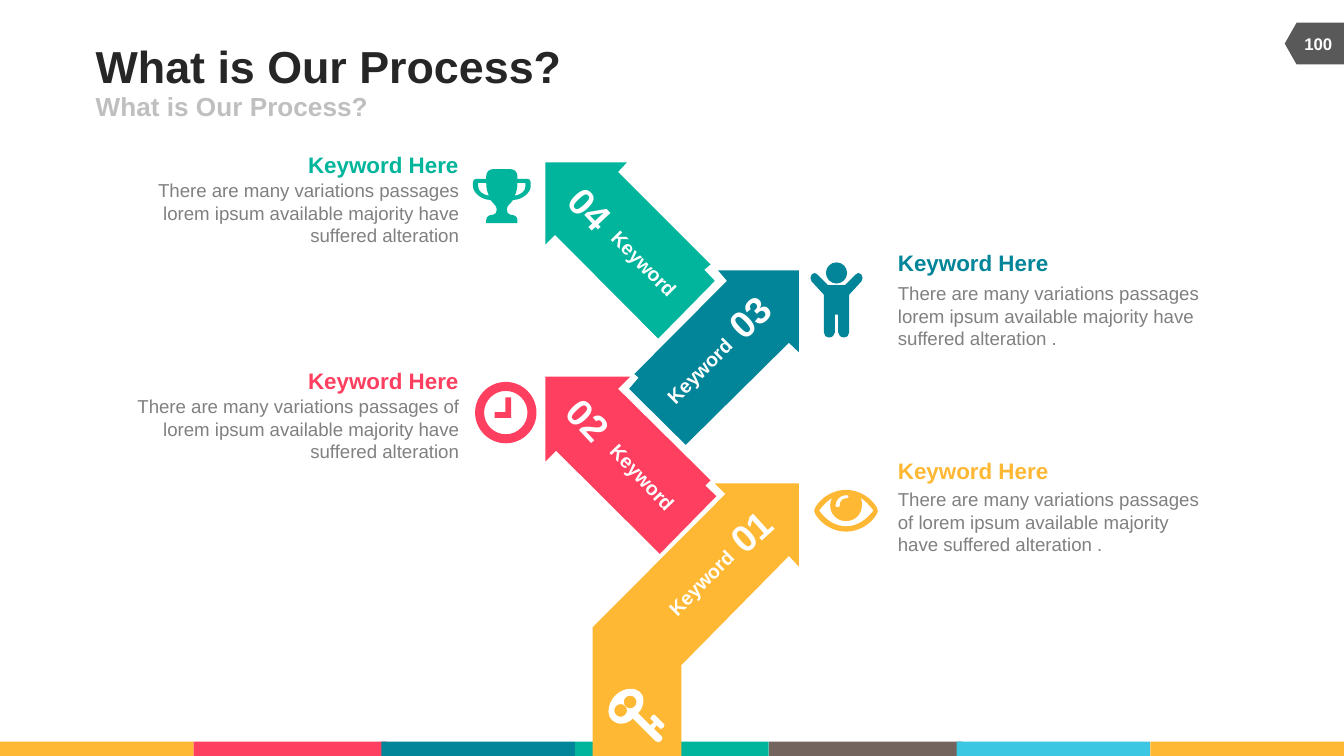
from pptx import Presentation
from pptx.dml.color import RGBColor
from pptx.enum.shapes import MSO_SHAPE
from pptx.enum.text import MSO_ANCHOR, PP_ALIGN
from pptx.oxml.ns import qn
from pptx.util import Cm, Pt

LEFT, MID, RIGHT = PP_ALIGN.LEFT, PP_ALIGN.CENTER, PP_ALIGN.RIGHT
TOP, HALF, BASE = MSO_ANCHOR.TOP, MSO_ANCHOR.MIDDLE, MSO_ANCHOR.BOTTOM
RECT, TAG = MSO_SHAPE.RECTANGLE, MSO_SHAPE.FLOWCHART_OFFPAGE_CONNECTOR

WIDE, HIGH = 25.4, 14.29
COLORS = {
    "gold": "FEB834", "red": "FF3F5F", "blue": "028599", "teal": "01B59C",
    "brown": "73655D", "sky": "3BC7E2", "white": "FFFFFF", "ink": "262626",
    "pale": "BFBFBF", "gray": "808080", "dark": "595959",
}
STRIPES = [(0, "gold"), (3.66, "red"), (7.21, "blue"), (10.87, "teal"),
           (14.53, "brown"), (18.08, "sky"), (21.74, "gold")]


def ring(x, y, r):
    """Outline of a circle in four curves."""
    k = .55 * r
    return [(x + r, y), (x + r, y + k, x + k, y + r, x, y + r),
            (x - k, y + r, x - r, y + k, x - r, y),
            (x - r, y - k, x - k, y - r, x, y - r),
            (x + k, y - r, x + r, y - k, x + r, y)]


# Outlines in cm: a pair is a corner, six numbers are a cubic curve.
KEY = [
    [(.99, .76), (.91, .69), (.86, .76), (1, .89),
     (1.03, .92, 1.02, .94, 1, .98), (.97, 1.02, .93, 1.02, .89, .99),
     (.46, .56), (.41, .62, .32, .66, .24, .66), (.1, .66, 0, .56, 0, .43),
     (0, .2, .2, 0, .42, 0), (.56, 0, .66, .08, .66, .22),
     (.66, .32, .62, .4, .56, .46), (.79, .69), (.86, .63), (.79, .56),
     (.81, .51, .84, .48, .87, .49), (1.06, .68),
     (1.06, .71, 1.03, .76, .99, .76)],
    ring(.41, .25, .12), ring(.23, .41, .12),
]
EYE = [
    [(.03, .33), (.15, .13, .38, 0, .61, 0), (.84, 0, 1.07, .13, 1.19, .33),
     (1.22, .37, 1.22, .42, 1.19, .46), (1.07, .66, .84, .79, .61, .79),
     (.38, .79, .15, .66, .03, .46), (0, .42, 0, .37, .03, .33)],
    [(.89, .15), (.91, .2, .91, .25, .91, .29), (.91, .46, .78, .59, .61, .59),
     (.44, .59, .31, .46, .31, .29), (.31, .25, .32, .19, .35, .15),
     (.25, .21, .17, .3, .1, .39), (.23, .57, .4, .69, .61, .69),
     (.82, .69, .99, .57, 1.13, .39), (1.06, .3, .98, .21, .89, .15)],
    [(.61, .1), (.5, .1, .41, .19, .41, .3), (.41, .32, .43, .33, .45, .33),
     (.48, .33, .49, .32, .49, .3), (.49, .22, .54, .16, .61, .16),
     (.64, .16, .66, .15, .66, .13), (.66, .11, .64, .1, .61, .1)],
]
CLOCK = [
    ring(.59, .59, .58), ring(.59, .59, .41),
    [(.38, .58), (.58, .58), (.58, .3), (.69, .3), (.69, .69), (.38, .69)],
]
PERSON = [
    [(.74, .61), (.74, 1.32), (.74, 1.37, .7, 1.42, .64, 1.42),
     (.58, 1.42, .53, 1.37, .53, 1.32), (.53, .99), (.47, .99), (.47, 1.32),
     (.47, 1.37, .42, 1.42, .36, 1.42), (.3, 1.42, .26, 1.37, .26, 1.32),
     (.26, .61), (.03, .36), (0, .32, 0, .27, .03, .23),
     (.06, .19, .11, .19, .14, .23), (.34, .43), (.66, .43), (.86, .23),
     (.89, .19, .94, .19, .97, .23), (1, .27, 1, .32, .97, .36)],
    ring(.5, .2, .2),
]
CUP = [
    [(1.09, .33), (1.09, .43, .94, .58, .76, .58),
     (.72, .63, .69, .66, .69, .66), (.66, .69, .64, .71, .64, .76),
     (.64, .81, .66, .86, .71, .86), (.79, .86, .84, .9, .84, .96),
     (.84, 1.02), (.25, 1.02), (.25, .96), (.25, .9, .3, .86, .38, .86),
     (.43, .86, .45, .81, .45, .76), (.45, .71, .43, .69, .4, .66),
     (.4, .66, .37, .63, .33, .58), (.15, .58, 0, .43, 0, .33), (0, .25),
     (0, .21, .02, .18, .06, .18), (.25, .18), (.25, .13),
     (.25, .05, .31, 0, .37, 0), (.72, 0), (.78, 0, .84, .05, .84, .13),
     (.84, .18), (1.03, .18), (1.07, .18, 1.09, .21, 1.09, .25)],
    [(.25, .26), (.1, .26), (.1, .33), (.1, .41, .18, .48, .3, .5),
     (.27, .43, .25, .35, .25, .26)],
    [(.84, .26), (.99, .26), (.99, .33), (.99, .41, .91, .48, .79, .5),
     (.82, .43, .84, .35, .84, .26)],
]

# Color, corner, outline, then place and turn of the number and the word.
STEPS = [
    ("gold", (11.2, 9.14),
     [(3.9, 1.57), (3.71, 1.37), (1.68, 3.43), (1.68, 5.15), (0, 5.15),
      (0, 2.72), (2.51, .2), (2.31, 0), (3.9, 0)],
     (2.59, .46, 318.1), (1.26, 1.65, 315)),
    ("red", (10.31, 7.12),
     [(1.37, .23), (3.12, 1.96), (3.02, 2.06), (3.23, 2.26), (2.16, 3.35),
      (.2, 1.4), (0, 1.6), (0, 0), (1.6, 0)],
     (.43, .38, 47), (1.04, 1.67, 46.4)),
    ("blue", (11.89, 5.11),
     [(3.21, 1.55), (3.02, 1.37), (1.07, 3.3), (0, 2.24), (.18, 2.03),
      (.1, 1.96), (1.85, .2), (1.68, 0), (3.21, 0)],
     (1.88, .43, 316.6), (.54, 1.68, 315)),
    ("teal", (10.31, 3.07),
     [(1.37, .18), (3.12, 1.93), (3, 2.03), (3.2, 2.24), (2.13, 3.33),
      (.18, 1.37), (0, 1.55), (0, 0), (1.54, 0)],
     (.47, .43, 47), (1.07, 1.68, 45.4)),
]
ICONS = [
    (KEY, 11.5, 13.02, "white"), (EYE, 15.38, 9.26, "gold"),
    (CLOCK, 8.97, 7.21, "red"), (PERSON, 15.31, 4.96, "blue"),
    (CUP, 8.94, 3.2, "teal"),
]
LONG = "There are many variations passages of lorem ipsum available majority have suffered alteration"
SHORT = LONG.replace("passages of", "passages")
# Left, top, width, drop to the body, color, side, body.
NOTES = [
    (16.97, 8.64, 5.9, .59, "gold", LEFT, LONG + " ."),
    (16.97, 4.71, 5.97, .62, "blue", LEFT, SHORT + " ."),
    (2.35, 6.94, 6.32, .53, "red", RIGHT, LONG),
    (2.83, 2.86, 5.84, .53, "teal", RIGHT, SHORT),
]


def paint(shape, color):
    shape.shadow.inherit = False
    shape.fill.solid()
    shape.fill.fore_color.rgb = RGBColor.from_string(COLORS[color])
    shape.line.fill.background()


def write(slide, text, box, size, color, bold=True, side=LEFT, anchor=TOP,
          turn=0, wrap=True):
    area = slide.shapes.add_textbox(*map(Cm, box))
    area.rotation = turn
    frame = area.text_frame
    frame.margin_left = frame.margin_right = 0
    frame.margin_top = frame.margin_bottom = 0
    frame.word_wrap, frame.vertical_anchor = wrap, anchor
    line = frame.paragraphs[0]
    line.text, line.alignment = text, side
    font = line.font
    font.name, font.size, font.bold = "Arial", Pt(size), bold
    font.color.rgb = RGBColor.from_string(COLORS[color])


def bend(shape, loops):
    """Join each three segments that stand for a curve into one."""
    nodes = iter(list(shape.element.iter(qn("a:lnTo"))))
    for item in (item for loop in loops for item in loop[1:]):
        node = next(nodes)
        if len(item) == 6:
            node.tag = qn("a:cubicBezTo")
            for spare in (next(nodes), next(nodes)):
                node.append(spare[0])
                spare.getparent().remove(spare)


def draw(slide, loops, x, y, color):
    pen = None
    for loop in loops:
        first, *rest = [(Cm(x + item[i]), Cm(y + item[i + 1]))
                        for item in loop for i in range(0, len(item), 2)]
        if pen is None:
            pen = slide.shapes.build_freeform(*first)
        else:
            pen.move_to(*first)
        pen.add_line_segments(rest, close=True)
    shape = pen.convert_to_shape()
    bend(shape, loops)
    paint(shape, color)


def stripe(slide, x, y, w, h):
    for left, color in STRIPES:
        bar = slide.shapes.add_shape(RECT, Cm(x + left), Cm(y), Cm(w), Cm(h))
        paint(bar, color)


def badge(slide, x, y, w, h):
    tag = slide.shapes.add_shape(
        TAG, Cm(x + (w - h) / 2), Cm(y + (h - w) / 2), Cm(h), Cm(w))
    tag.rotation = 90
    paint(tag, "dark")
    write(slide, "100", (x + .1, y, 1.07, h), 9, "white", side=MID, anchor=HALF)


def header(slide, x, y, w):
    text = "What is Our Process?"
    write(slide, text, (x, y, w, .99), 24, "ink", anchor=HALF)
    write(slide, text, (x, y + .99, 11.43, .56), 14, "pale", anchor=HALF)


def arrow(slide, x, y, no, color, loop, mark, word):
    draw(slide, [loop], x, y, color)
    labels = [(f"{no:02}", mark, .79, .86, 20, MID, BASE),
              ("Keyword", word, 1.57, .46, 10.5, RIGHT, TOP)]
    for text, (dx, dy, turn), w, h, size, side, anchor in labels:
        write(slide, text, (x + dx, y + dy, w, h), size, "white", side=side,
              anchor=anchor, turn=turn, wrap=False)


def note(slide, x, y, w, drop, color, side, body):
    write(slide, body, (x, y + drop, w, 1.27), 10, "gray", bold=False, side=side)
    span = 2.87
    left = x + w - span if side == RIGHT else x
    write(slide, "Keyword Here", (left, y, span, .51), 12, color, side=side,
          wrap=False)


def main():
    deck = Presentation()
    deck.slide_width, deck.slide_height = Cm(WIDE), Cm(HIGH)
    slide = deck.slides.add_slide(deck.slide_layouts[6])
    stripe(slide, 0, 14.02, 3.66, .27)
    badge(slide, 24.28, .43, 1.12, .79)
    header(slide, 1.81, .74, 15.67)
    for no, (color, spot, loop, mark, word) in enumerate(STEPS, 1):
        arrow(slide, *spot, no, color, loop, mark, word)
    for icon in ICONS:
        draw(slide, *icon)
    for item in NOTES:
        note(slide, *item)
    deck.save("out.pptx")


if __name__ == "__main__":
    main()
